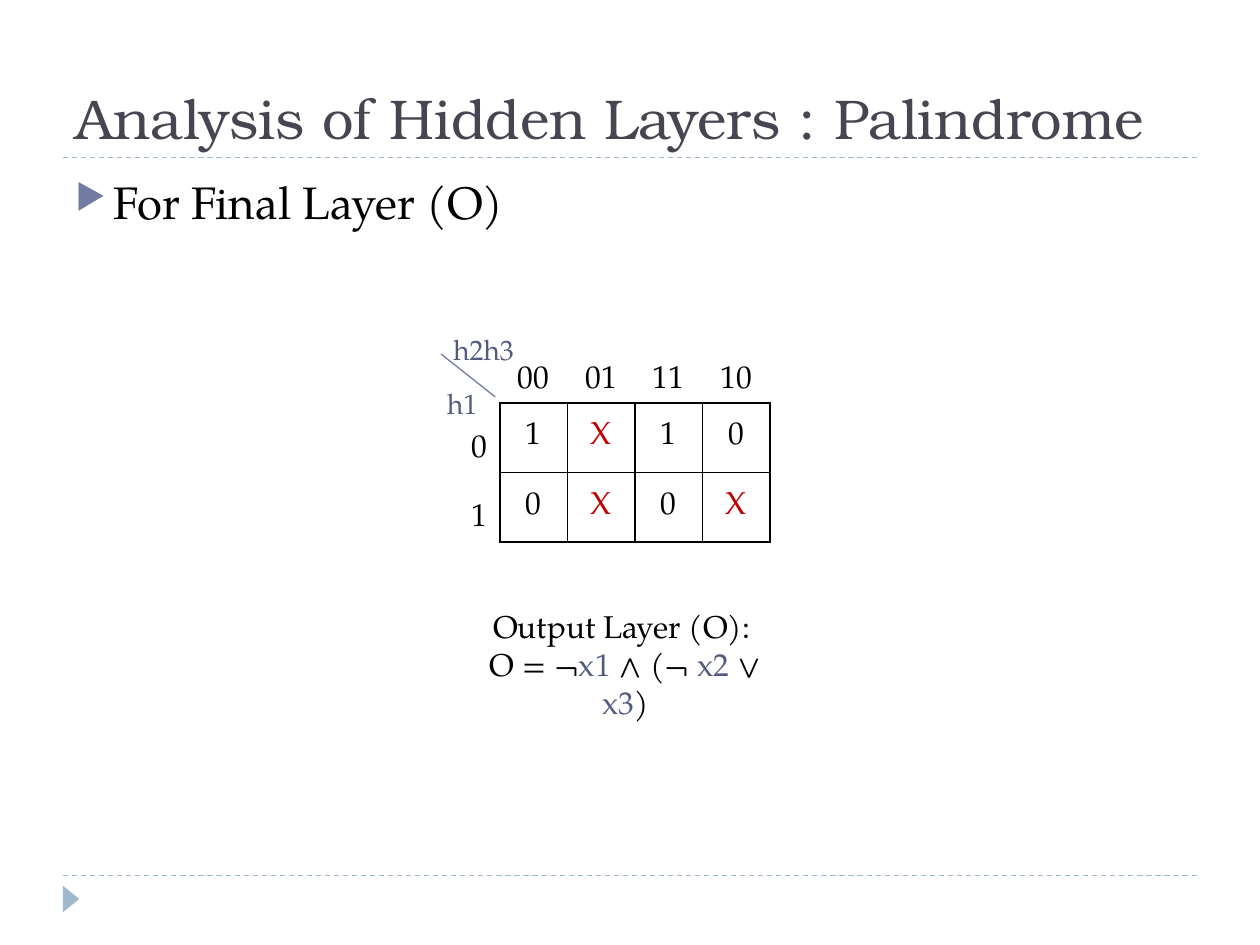
from lxml import etree
from pptx import Presentation
from pptx.dml.color import RGBColor
from pptx.enum import dml, shapes, text
from pptx.oxml import ns
from pptx.util import Pt

BLACK = RGBColor(0x00, 0x00, 0x00)
SLATE = RGBColor(0x46, 0x46, 0x53)
INDIGO = RGBColor(0x72, 0x7C, 0xA3)
DEEP_INDIGO = RGBColor(0x52, 0x5B, 0x7E)
PALE_BLUE = RGBColor(0x9F, 0xB8, 0xCD)
RED = RGBColor(0xC0, 0x00, 0x00)
HEADING_FONT = "TeX Gyre Bonum"
BODY_FONT = "TeX Gyre Pagella"
MAP_ROWS = [
    ["", "00", "01", "11", "10"],
    ["0", "1", "X", "1", "0"],
    ["1", "0", "X", "0", "X"],
]


def add_child(parent, tag, **attributes):
    return etree.SubElement(parent, ns.qn(tag), attributes)


def add_span(para, words, size, color=BLACK, font=BODY_FONT):
    span = para.add_run()
    span.text = words
    span.font.size = Pt(size)
    span.font.name = font
    span.font.color.rgb = color


def add_text_box(page, box, wrap=True):
    frame = page.shapes.add_textbox(*map(Pt, box)).text_frame
    frame.word_wrap = wrap
    return frame


def add_line(page, start, end, color, dashed=False):
    line = page.shapes.add_connector(
        shapes.MSO_CONNECTOR.STRAIGHT, *map(Pt, start + end))
    line.line.color.rgb = color
    line.line.width = Pt(0.75)
    if dashed:
        line.line.dash_style = dml.MSO_LINE.DASH
    add_child(line._element.spPr, "a:effectLst")


def add_frame_lines(page, box):
    left, top, width, height = box
    for y in (top, top + height):
        add_line(page, (left, y), (left + width, y), PALE_BLUE, dashed=True)
    marker = page.shapes.add_shape(
        shapes.MSO_SHAPE.ISOSCELES_TRIANGLE,
        Pt(left - 2.9), Pt(top + height + 8.6), Pt(15.1), Pt(9.4))
    marker.rotation = 90
    marker.shadow.inherit = False
    marker.fill.solid()
    marker.fill.fore_color.rgb = PALE_BLUE
    marker.line.fill.background()


def set_title(page, box):
    title = page.shapes.title
    title.left, title.top, title.width, title.height = map(Pt, box)
    frame = title.text_frame
    frame.vertical_anchor = text.MSO_ANCHOR.BOTTOM
    frame.auto_size = text.MSO_AUTO_SIZE.NONE
    para = frame.paragraphs[0]
    para.alignment = text.PP_ALIGN.LEFT
    add_span(para, "Analysis of Hidden Layers : Palindrome", 32, SLATE, HEADING_FONT)


def add_bullet(page, box):
    para = add_text_box(page, box).paragraphs[0]
    para.space_before = Pt(6)
    properties = para._p.get_or_add_pPr()
    properties.set("marL", str(Pt(21.6)))
    properties.set("indent", str(-Pt(21.6)))
    color = add_child(properties, "a:buClr")
    add_child(color, "a:srgbClr", val=str(INDIGO))
    add_child(properties, "a:buSzPct", val="76000")
    add_child(properties, "a:buChar", char="▶")
    add_span(para, "For Final Layer (O)", 26)


def set_borders(cell, visible_sides):
    properties = cell._tc.get_or_add_tcPr()
    for side in "LRTB":
        border = add_child(properties, "a:ln" + side, w=str(Pt(1)))
        if side in visible_sides:
            fill = add_child(border, "a:solidFill")
            add_child(fill, "a:srgbClr", val=str(BLACK))
        else:
            add_child(border, "a:noFill")


def add_karnaugh_map(page, box):
    row_count, column_count = len(MAP_ROWS), len(MAP_ROWS[0])
    table = page.shapes.add_table(row_count, column_count, *map(Pt, box)).table
    table.first_row = table.horz_banding = False
    for column in table.columns:
        column.width = Pt(box[2] / column_count)
    for row in table.rows:
        row.height = Pt(box[3] / row_count)
    for r, values in enumerate(MAP_ROWS):
        for c, value in enumerate(values):
            cell = table.cell(r, c)
            inside = r > 0 and c > 0
            sides = "LRTB" if inside else "B" if c else "R" if r else ""
            set_borders(cell, sides)
            cell.fill.background()
            cell.vertical_anchor = text.MSO_ANCHOR.MIDDLE if inside else text.MSO_ANCHOR.BOTTOM
            para = cell.text_frame.paragraphs[0]
            para.alignment = text.PP_ALIGN.CENTER if c else text.PP_ALIGN.RIGHT
            if value:
                add_span(para, value, 18, RED if value == "X" else BLACK)


def add_axis_labels(page, box):
    left, top, width, height = box
    add_line(page, (left, top + 15.8), (left + 31, top + 40.3), INDIGO)
    labels = [("h1", (left - 3.6, top + 31, 32.4, 26.6)),
              ("h2h3", (left, top, width, 26.6))]
    for words, label_box in labels:
        add_span(add_text_box(page, label_box, wrap=False).paragraphs[0],
                 words, 16, DEEP_INDIGO)


def add_formula(page, box):
    frame = add_text_box(page, box)
    lines = [
        [("Output Layer (O): ", BLACK)],
        [("O = ¬", BLACK), ("x1 ", DEEP_INDIGO), ("∧ (¬ ", BLACK),
         ("x2", DEEP_INDIGO), (" ∨ ", BLACK), ("x3", DEEP_INDIGO), (")", BLACK)],
    ]
    for index, spans in enumerate(lines):
        para = frame.add_paragraph() if index else frame.paragraphs[0]
        para.alignment = text.PP_ALIGN.CENTER
        for words, color in spans:
            add_span(para, words, 18, color)


def main():
    deck = Presentation()
    deck.slide_width, deck.slide_height = Pt(720), Pt(540)
    page = deck.slides.add_slide(deck.slide_layouts[5])
    add_frame_lines(page, (36, 90, 648, 410.4))
    set_title(page, (36, 12, 648, 78))
    add_bullet(page, (36, 96, 648, 388.8))
    add_karnaugh_map(page, (247, 190.8, 193, 118.8))
    add_axis_labels(page, (252, 186.5, 49.7, 57.6))
    add_formula(page, (266.4, 343.4, 182.2, 51.1))
    deck.save("out.pptx")


if __name__ == "__main__":
    main()
